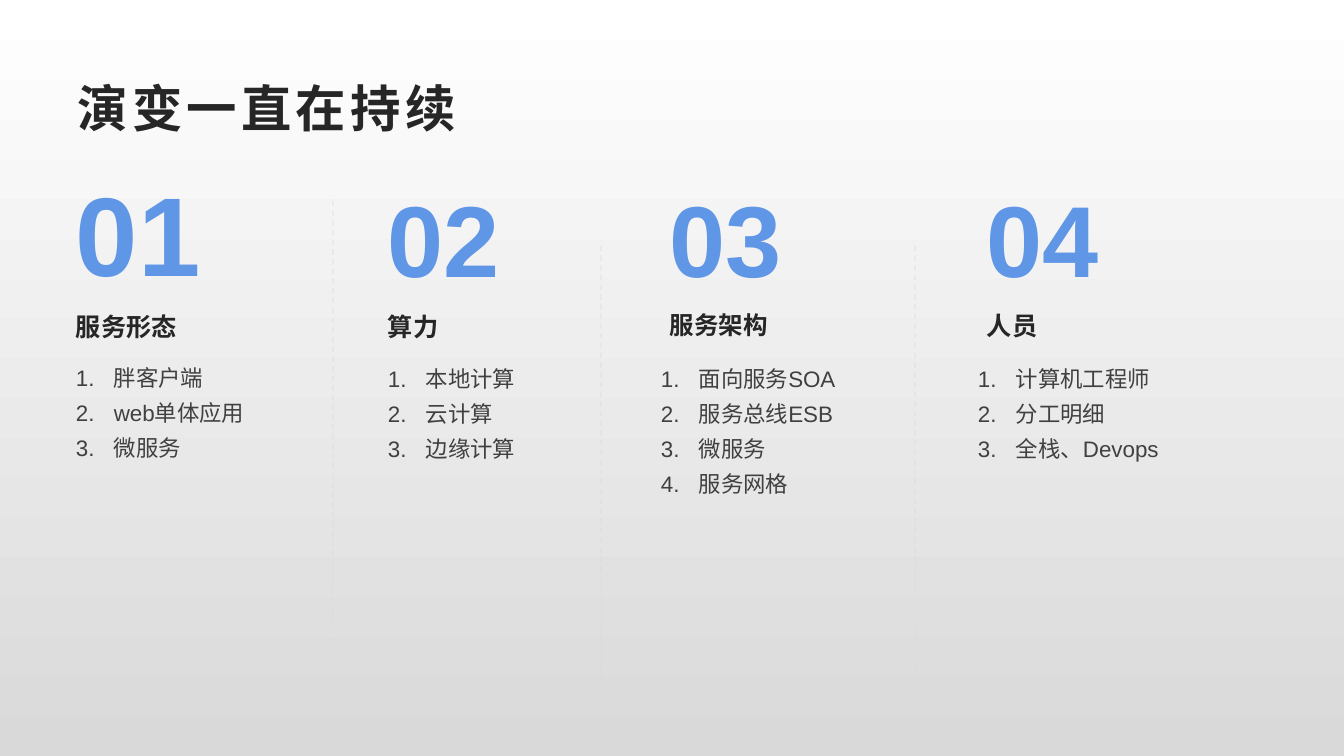
import pptx
import pptx.dml.color
import pptx.enum.dml
import pptx.enum.shapes
import pptx.enum.text
import pptx.oxml.ns
import pptx.oxml.xmlchemy
import pptx.util
from lxml import etree

EMU_PER_PIXEL = 914400 / 100.8
BLUE, DARK, GREY, PALE = "6096E6", "262626", "404040", "D9D9D9"
qname = pptx.oxml.ns.qn

# Per column: left, number (top, width, size), heading (top, size),
# list (left, top, width), then its items
COLUMNS = [
    ("01", "服务形态", 66, (160, 170, 80), (306, 18), (66, 351, 240),
     ["胖客户端", "web单体应用", "微服务"]),
    ("02", "算力", 378, (172, 172, 72), (306, 18), (378, 352, 222),
     ["本地计算", "云计算", "边缘计算"]),
    ("03", "服务架构", 660, (172, 165, 72), (305, 17.5), (651, 352, 244),
     ["面向服务SOA", "服务总线ESB", "微服务", "服务网格"]),
    ("04", "人员", 977, (172, 170, 72), (305, 18), (968, 352, 244),
     ["计算机工程师", "分工明细", "全栈、Devops"]),
]
DIVIDERS = [(333, 196), (601, 241), (915, 241)]
DIVIDER_HEIGHT = 438


def px(length):
    return pptx.util.Emu(round(length * EMU_PER_PIXEL))


def color(value):
    return pptx.dml.color.RGBColor.from_string(value)


def write(para, text, size, fill, bold=False, spacing=0, font="Arial"):
    span = para.add_run()
    span.text = text
    span.font.name = font
    span.font.size = pptx.util.Pt(size)
    span.font.bold = bold
    span.font.color.rgb = color(fill)
    properties = span.font._element
    etree.SubElement(properties, qname("a:ea"), typeface=font)
    if spacing:
        properties.set("spc", str(spacing * 100))


class SlideBuilder:
    def __init__(self, deck):
        self.page = deck.slides.add_slide(deck.slide_layouts[6])

    def background(self, top, bottom):
        fill = self.page.background.fill
        fill.gradient()
        fill.gradient_angle = 270
        for stop, position, value in zip(fill.gradient_stops, (0, 1), (top, bottom)):
            stop.position = position
            stop.color.rgb = color(value)

    def frame(self, left, top, width, height):
        box = self.page.shapes.add_textbox(px(left), px(top), px(width), px(height))
        box.text_frame.word_wrap = True
        return box.text_frame

    def label(self, text, left, top, width, height, middle=False, **style):
        frame = self.frame(left, top, width, height)
        if middle:
            frame.vertical_anchor = pptx.enum.text.MSO_ANCHOR.MIDDLE
        write(frame.paragraphs[0], text, **style)

    def numbered_list(self, items, left, top, width, height):
        frame = self.frame(left, top, width, height)
        for index, item in enumerate(items):
            para = frame.add_paragraph() if index else frame.paragraphs[0]
            para.line_spacing = 1.3
            properties = para._p.get_or_add_pPr()
            properties.set("marL", str(px(38)))
            properties.set("indent", str(px(-38)))
            etree.SubElement(properties, qname("a:buAutoNum"), type="arabicPeriod")
            write(para, item, size=16, fill=GREY)

    def divider(self, left, top, height):
        line = self.page.shapes.add_connector(
            pptx.enum.shapes.MSO_CONNECTOR.STRAIGHT,
            px(left), px(top + height), px(left), px(top))
        line.line.width = pptx.util.Pt(1)
        line.line.color.rgb = color(PALE)
        line.line.dash_style = pptx.enum.dml.MSO_LINE.DASH
        shade = line.line._ln.find(".//" + qname("a:srgbClr"))
        etree.SubElement(shade, qname("a:alpha"), val="50000")
        etree.SubElement(line._element.spPr, qname("a:effectLst"))


def main():
    deck = pptx.Presentation()
    deck.slide_width, deck.slide_height = px(1344), px(756)
    slide = SlideBuilder(deck)
    slide.background("FFFFFF", PALE)

    # Title
    slide.label("演变一直在持续", 68, 68, 1210, 78, middle=True,
                size=36, fill=DARK, bold=True, spacing=3)

    # Dividers between the columns
    for left, top in DIVIDERS:
        slide.divider(left, top, DIVIDER_HEIGHT)

    # Columns: number, heading and list
    for number, heading, left, number_place, heading_place, list_place, items in COLUMNS:
        top, width, size = number_place
        slide.label(number, left, top, width, 305 - top, size=size, fill=BLUE, bold=True)
        top, size = heading_place
        slide.label(heading, left, top, 335, 43, size=size, fill=DARK, bold=True)
        slide.numbered_list(items, *list_place, 165)

    deck.save("out.pptx")


if __name__ == "__main__":
    main()
